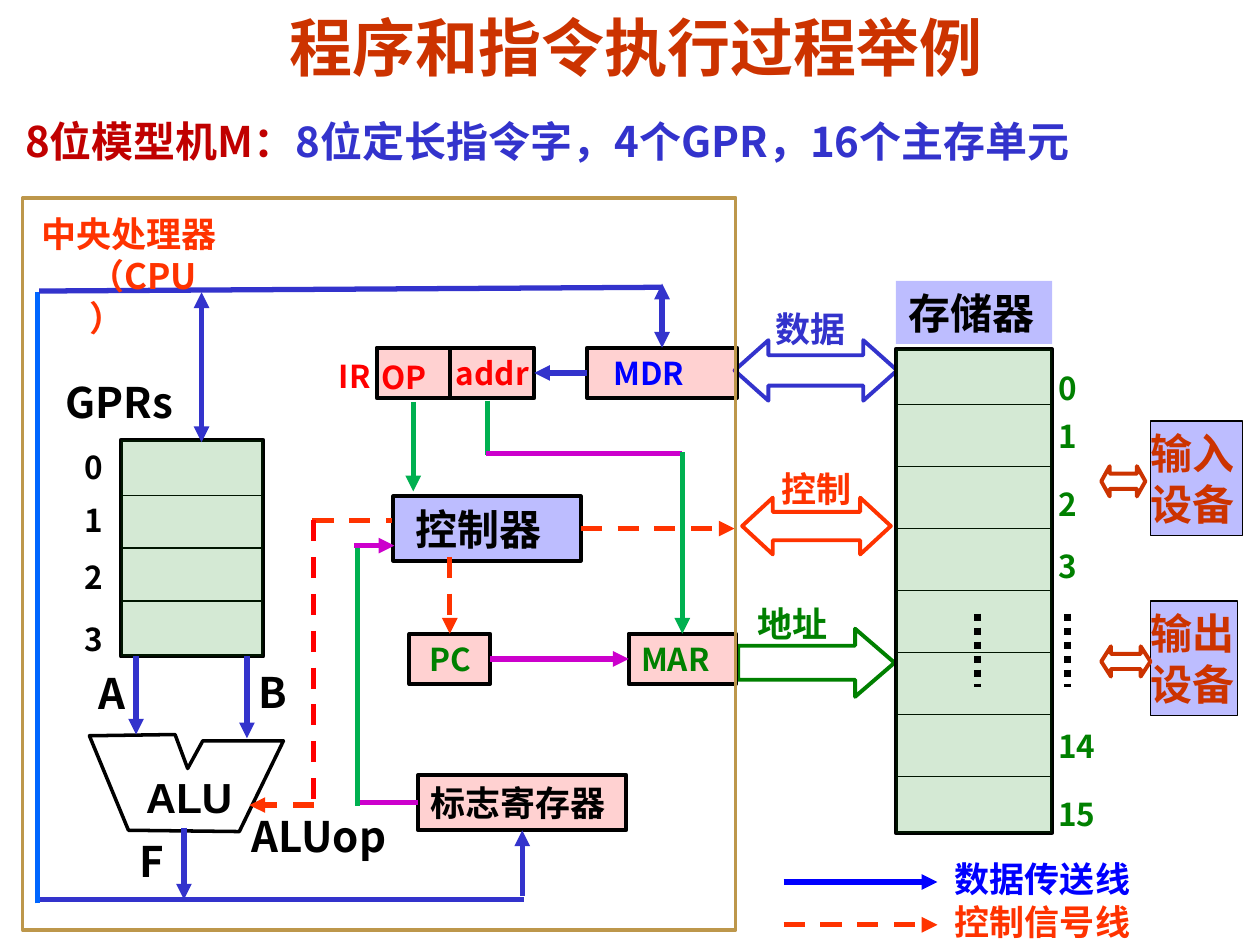
from dataclasses import dataclass

from lxml import etree
from pptx import Presentation
from pptx import util as u
from pptx.dml import color as dml
from pptx.enum import dml as line, shapes, text
from pptx.oxml import ns


@dataclass(frozen=True)
class Theme:
    sans: str = "Noto Sans CJK SC"
    latin: str = "Arial"
    huge: int = 36
    big: int = 24
    mid: int = 20
    small: int = 18
    black: str = "000000"
    white: str = "FFFFFF"
    rust: str = "CC3300"
    wine: str = "C00000"
    navy: str = "3333CC"
    blue: str = "0000FF"
    sky: str = "0066FF"
    red: str = "FF0000"
    coral: str = "FF3300"
    green: str = "008000"
    leaf: str = "00B050"
    pink: str = "CC00CC"
    gold: str = "BD974B"


T = Theme()
KIND = shapes.MSO_SHAPE
ROSE, LILAC, MINT = (T.red, 18), (T.blue, 26), (T.green, 17)


# A region of the slide; its parts sit on a grid of 100 columns by 75 rows
@dataclass
class Box:
    slide: object
    x: float
    y: float
    w: float
    h: float

    def spot(self, c, r):
        return u.Inches((self.x + c) / 10), u.Inches((self.y + r) / 10)

    def area(self, c, r, w, h):
        return *self.spot(c, r), u.Inches(w / 10), u.Inches(h / 10)


def put(obj, **vals):
    for key, val in vals.items():
        setattr(obj, key, val)


def rgb(hue):
    return dml.RGBColor.from_string(hue)


def style(run, size, hue, font=T.sans):
    put(run.font, size=u.Pt(size), bold=True, name=font)
    run.font.color.rgb = rgb(hue)
    east = etree.SubElement(run.font._element, ns.qn("a:ea"))
    east.set("typeface", T.sans)


def write(shape, lines, size, hue, font=T.sans, left=1, right=0):
    frame = shape.text_frame
    put(frame, word_wrap=True, vertical_anchor=text.MSO_ANCHOR.MIDDLE,
        margin_left=u.Inches(left / 10), margin_right=u.Inches(right / 10))
    for i, words in enumerate(lines.split("\n")):
        para = frame.add_paragraph() if i else frame.paragraphs[0]
        para.alignment = text.PP_ALIGN.LEFT
        run = para.add_run()
        run.text = words
        style(run, size, hue, font)
    return shape


def label(box, area, words, size, hue, **more):
    shape = box.slide.shapes.add_textbox(*box.area(*area))
    return write(shape, words, size, hue, **more)


def paint(shape, fill=None, edge=None, width=2.25):
    shape.shadow.inherit = False
    if fill:
        hue, share = fill if isinstance(fill, tuple) else (fill, 100)
        shape.fill.solid()
        shape.fill.fore_color.rgb = rgb(hue)
        if share < 100:
            node = shape.fill._xPr.find(".//" + ns.qn("a:srgbClr"))
            etree.SubElement(node, ns.qn("a:alpha")).set("val", str(share * 1000))
    else:
        shape.fill.background()
    if edge:
        shape.line.color.rgb = rgb(edge)
        shape.line.width = u.Pt(width)
    else:
        shape.line.fill.background()
    return shape


def block(box, area, fill=None, edge=None, width=2.25, kind=KIND.RECTANGLE, adj=()):
    shape = box.slide.shapes.add_shape(kind, *box.area(*area))
    for i, val in enumerate(adj):
        shape.adjustments[i] = val
    return paint(shape, fill, edge, width)


def wire(box, ends, hue, tips="", dash=None, width=3, start=None, stop=None):
    c1, r1, c2, r2 = ends
    link = box.slide.shapes.add_connector(
        shapes.MSO_CONNECTOR.STRAIGHT, *box.spot(c1, r1), *box.spot(c2, r2))
    if start:
        link.begin_connect(*start)
    if stop:
        link.end_connect(*stop)
    link.line.color.rgb = rgb(hue)
    put(link.line, width=u.Pt(width), dash_style=dash)
    for tip in tips.split():
        etree.SubElement(link.line._ln, ns.qn(f"a:{tip}End")).set("type", "triangle")
    etree.SubElement(link._element.spPr, ns.qn("a:effectLst"))


DASH, DOTS = line.MSO_LINE.DASH, line.MSO_LINE.ROUND_DOT


def heading(box):
    title = box.slide.shapes.title
    put(title, **dict(zip(("left", "top", "width", "height"), box.area(5, 0.6, 90, 6.1))))
    write(title, "程序和指令执行过程举例", T.huge, T.rust, T.latin)
    title.text_frame.auto_size = text.MSO_AUTO_SIZE.NONE
    title.text_frame.paragraphs[0].alignment = text.PP_ALIGN.CENTER
    lead = label(box, (1, 8.6, 96.8, 5.1), "8位模型机M：", T.big, T.wine)
    run = lead.text_frame.paragraphs[0].add_run()
    run.text = "8位定长指令字，4个GPR，16个主存单元"
    style(run, T.big, T.navy)


# Tinted column of cells with numbers beside it
def stack(box, first, step, count, tags, col, hue):
    block(box, (0, 0, box.w, box.h), T.white, T.black)
    for i in range(count):
        row = first + step * i
        wire(box, (0, row, box.w, row), T.black, width=0.75)
    block(box, (0, 0, box.w, box.h), MINT)
    for tag, row in tags.items():
        label(box, (col, row, 3.4 if len(tag) == 1 else 5.3, 4), tag, T.small, hue)


def gprs(box):
    stack(box, 4.4, 4.2, 3, {"0": 0.2, "1": 4.4, "2": 8.9, "3": 13.8}, -3.9, T.black)
    label(box, (-5.4, -5.5, 12, 5), "GPRs", T.big, T.black)


def memory(box):
    tags = {"0": 1.1, "1": 4.9, "2": 10.3, "3": 15.2, "14": 29.5, "15": 34.9}
    stack(box, 4.4, 4.92, 7, tags, 11.9, T.green)
    write(block(box, (0, -5.4, box.w, 5), LILAC), "存储器", T.big, T.black)
    for col in (6.5, 13.6):
        wire(box, (col, 21, col, 26.8), T.black, dash=DOTS, width=4)


def alu(box):
    pts = [box.spot(*p) for p in ((0, 0.1), (6.8, 0), (7.8, 2.7), (9, 0.5),
                                  (box.w, 0.5), (11.9, box.h), (3.1, 7.6))]
    pen = box.slide.shapes.build_freeform(*pts[0])
    pen.add_line_segments(pts[1:], close=True)
    paint(pen.convert_to_shape(), edge=T.black, width=2)
    label(box, (3.5, 2.4, 8.9, 5.1), "ALU", T.big, T.black, font=T.latin)
    for words, col, row, wide in (("F", 3, 7.5, 6.8), ("A", -0.3, -5.8, 6.8),
                                  ("B", 12.4, -5.9, 6.8), ("ALUop", 11.9, 5.5, 13.8)):
        label(box, (col, row, wide, 5), words, T.big, T.black)


# Wide arrows between processor and memory
def buses(box):
    both, right = KIND.LEFT_RIGHT_ARROW, KIND.RIGHT_ARROW
    for words, hue, tag, area, kind, tip in (
            ("数据", T.navy, (2.3, 0), (0, 3.4, 12.9, 4.8), both, 0.56),
            ("控制", T.coral, (2.7, 12.7), (0.6, 15.9, 11.8, 4.5), both, 0.54),
            ("地址", T.green, (0.8, 23.4), (0.3, 26.3, 12.4, 5.4), right, 0.58)):
        label(box, (*tag, 8.8, 5), words, T.mid, hue)
        block(box, area, T.white, hue, kind=kind, adj=(0.5, tip))


def cpu(box):
    # Registers and controller
    parts = {}
    for key, area, fill, words, size, hue, left in (
            ("pc", (30.7, 34.6, 6.4, 4), ROSE, "PC", T.small, T.green, 1.6),
            ("mar", (48.1, 34.6, 8.5, 4), ROSE, "MAR", T.small, T.green, 1),
            ("mdr", (44.8, 11.9, 11.9, 4), ROSE, "MDR", T.small, T.blue, 2.1),
            ("flag", (31.4, 45.8, 16.5, 4.4), ROSE, "标志寄存器", T.mid, T.black, 1),
            ("ctrl", (29.4, 23.7, 14.9, 5.1), LILAC, "控制器", T.big, T.black, 1.8)):
        parts[key] = write(block(box, area, fill, T.black), words, size, hue, left=left)
    pc, mar, mdr, flag, ctrl = parts.values()
    reg = block(box, (28.1, 11.9, 12.5, 4), ROSE, T.black)
    wire(box, (33.9, 11.9, 33.9, 15.9), T.black, width=2)
    for words, col, row, wide in (("IR", 24.1, 12.1, 5.4), ("OP", 27.5, 12.2, 6.2),
                                  ("addr", 33.4, 11.9, 8.2)):
        label(box, (col, row, wide, 4), words, T.small, T.red)

    # Data paths
    for ends, hue, tips, start, stop in (
            ((9, 36.4, 9, 42.6), T.navy, "tail", None, None),
            ((17.8, 36.4, 17.8, 42.9), T.navy, "tail", None, None),
            ((1.3, 55.7, 39.8, 55.7), T.navy, "", None, None),
            ((39.65, 55.4, 39.65, 50.2), T.navy, "tail", None, (flag, 2)),
            ((12.8, 50, 12.8, 55.7), T.navy, "tail", None, None),
            ((1.2, 56, 1.2, 7.5), T.sky, "", None, None),
            ((1.3, 7.4, 50.7, 7.1), T.navy, "", None, None),
            ((50.75, 6.8, 50.75, 11.9), T.navy, "head tail", None, (mdr, 0)),
            ((14.2, 7.5, 14.2, 19.4), T.navy, "head tail", None, None),
            ((44.8, 13.9, 40.6, 13.9), T.navy, "tail", (mdr, 1), (reg, 3)),
            ((31, 16.2, 31, 23.3), T.leaf, "tail", None, None),
            ((37.1, 36.6, 48.1, 36.6), T.pink, "tail", (pc, 3), (mar, 1)),
            ((36.9, 16.1, 36.9, 20.4), T.leaf, "", None, None),
            ((36.8, 20.3, 52.35, 20.3), T.pink, "", None, None),
            ((52.35, 20.2, 52.35, 34.6), T.leaf, "tail", None, (mar, 0)),
            ((26.7, 48, 31.4, 48), T.pink, "", None, (flag, 1)),
            ((26.6, 27.5, 26.6, 48.3), T.leaf, "", None, None),
            ((26.3, 27.6, 29.5, 27.6), T.pink, "tail", None, None)):
        wire(box, ends, hue, tips, start=start, stop=stop)

    # Control signals
    for ends, hue, tips, start, stop in (
            ((44.3, 26.25, 56.5, 26.25), T.coral, "tail", (ctrl, 3), None),
            ((23, 25.6, 29.3, 25.6), T.coral, "", None, None),
            ((23.1, 48.2, 18, 48.2), T.coral, "tail", None, None),
            ((23.1, 25.6, 23.1, 48), T.red, "", None, None),
            ((33.9, 28.5, 33.9, 34.6), T.coral, "tail", None, (pc, 0))):
        wire(box, ends, hue, tips, DASH, start=start, stop=stop)

    # Frame and its name, which wraps with a hanging indent
    block(box, (0, 0, box.w, box.h), edge=T.gold, width=2)
    name = label(box, (0.5, 0.7, 28, 4.4), "中央处理器（CPU）", T.mid, T.coral, right=12)
    name.text_frame.vertical_anchor = text.MSO_ANCHOR.TOP
    hang = name.text_frame.paragraphs[0]._p.get_or_add_pPr()
    hang.set("marL", str(u.Inches(0.38)))
    hang.set("indent", str(-u.Inches(0.38)))


def devices(box):
    for words, row, wide, gap, tip in (("输入\n设备", 0, 7.3, 3.5, 0.28),
                                       ("输出\n设备", 14.3, 6.9, 3.9, 0.32)):
        unit = block(box, (3.9, row, wide, 9.1), LILAC, T.black, 0.75)
        write(unit, words, T.big, T.rust, left=0)
        block(box, (0, row + 3.6, gap, 2.4), T.white, T.rust,
              kind=KIND.LEFT_RIGHT_ARROW, adj=(0.5, tip))


def legend(box):
    for i, (words, hue, dash) in enumerate((("数据传送线", T.blue, None),
                                            ("控制信号线", T.coral, DASH))):
        row = 3.4 * i
        wire(box, (0, row + 2.5, 12.2, row + 2.5), hue, "tail", dash)
        label(box, (12.6, row, 18.6, 4.4), words, T.mid, hue)


def main():
    deck = Presentation()
    put(deck, slide_width=u.Inches(10), slide_height=u.Inches(7.5))
    slide = deck.slides.add_slide(deck.slide_layouts[5])
    for draw, area in ((heading, (0, 0, 100, 14)),
                       (gprs, (9.6, 34.9, 11.3, 17.2)),
                       (alu, (7.1, 58.3, 15.4, 7.7)),
                       (buses, (58.3, 23.6, 12.9, 32)),
                       (memory, (71.1, 27.7, 12.4, 38.4)),
                       (cpu, (1.8, 15.7, 56.6, 58.1)),
                       (devices, (87.4, 33.4, 11.2, 23.4)),
                       (legend, (62.2, 67.5, 31.2, 7.5))):
        draw(Box(slide, *area))
    deck.save("out.pptx")


if __name__ == "__main__":
    main()
